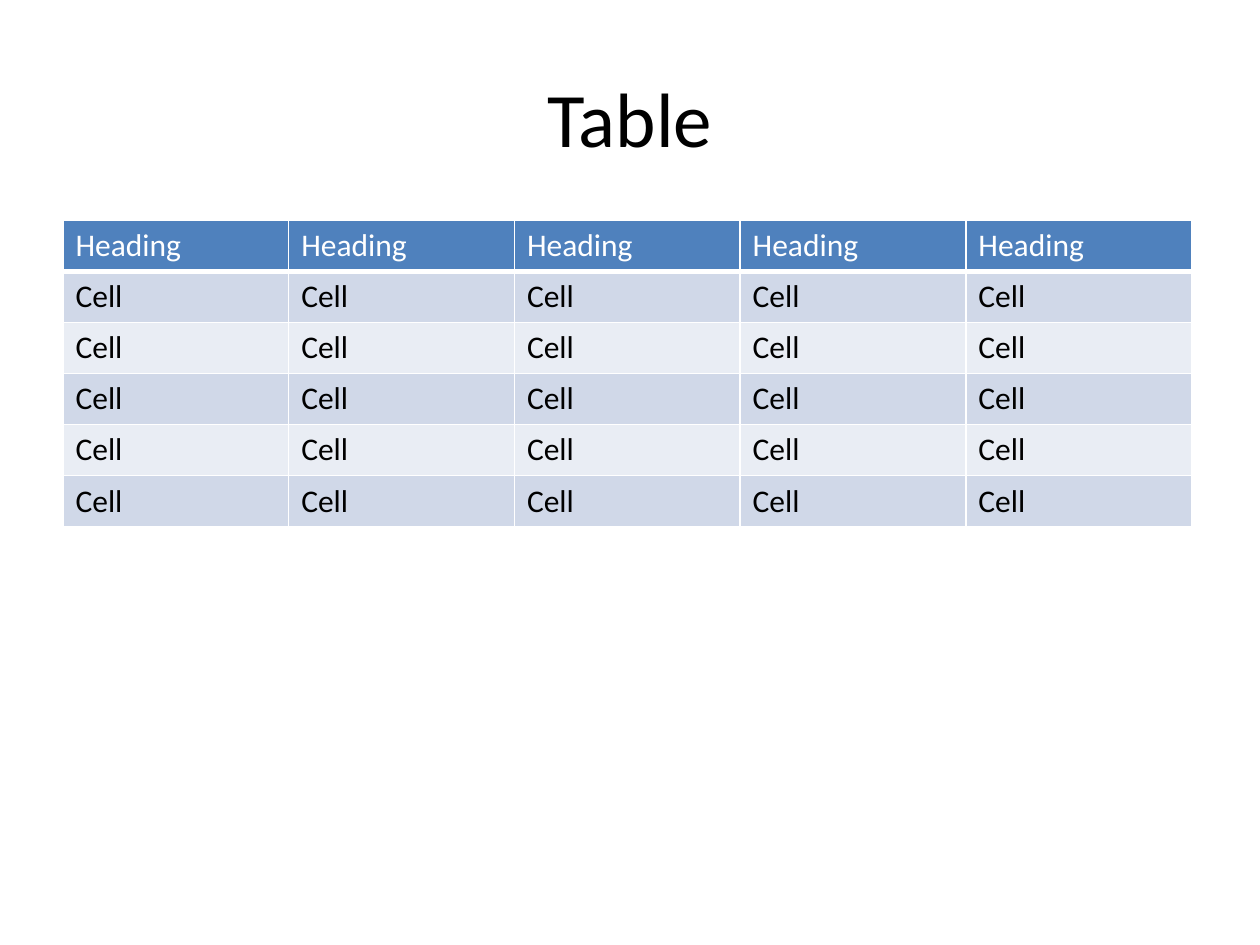
from lxml.etree import SubElement
from pptx import Presentation
from pptx.dml.color import RGBColor
from pptx.enum.text import MSO_ANCHOR, PP_ALIGN
from pptx.oxml.ns import qn
from pptx.util import Cm, Pt

TITLE_BOX = (1.27, 0.76, 22.86, 3.18)
TABLE_BOX = (1.27, 4.44, 22.75, 6.18)
TITLE_FORMAT = {"name": "Calibri", "size": Pt(44), "bold": False}
CELL_FORMAT = {"name": "Calibri", "size": Pt(18), "bold": False}
BLACK, WHITE = "000000", "FFFFFF"
HEADER_FILL = "4F81BD"
BAND_FILLS = ("D0D8E8", "E9EDF4")
COLUMN_COUNT, BODY_ROW_COUNT = 5, 5


def color(hex_code):
    return RGBColor.from_string(hex_code)


def format_font(font, values, hex_code):
    for attribute, value in values.items():
        setattr(font, attribute, value)
    font.color.rgb = color(hex_code)


def add_borders(cell, bottom_width):
    """Draw white lines on all four sides of a cell."""
    properties = cell._tc.get_or_add_tcPr()
    widths = {"lnL": 1, "lnR": 1, "lnT": 1, "lnB": bottom_width}
    for side, width in widths.items():
        line = SubElement(properties, qn(f"a:{side}"), w=str(Pt(width)))
        fill = SubElement(line, qn("a:solidFill"))
        SubElement(fill, qn("a:srgbClr"), val=WHITE)


def place_title(slide, box, text):
    title = slide.shapes.title
    title.left, title.top, title.width, title.height = map(Cm, box)
    title.text_frame.text = text
    title.text_frame.vertical_anchor = MSO_ANCHOR.MIDDLE
    paragraph = title.text_frame.paragraphs[0]
    paragraph.alignment = PP_ALIGN.CENTER
    format_font(paragraph.runs[0].font, TITLE_FORMAT, BLACK)


def place_table(slide, box, rows):
    table = slide.shapes.add_table(len(rows), len(rows[0]), *map(Cm, box)).table
    for row_index, labels in enumerate(rows):
        is_header = row_index == 0
        # Header colours, then alternating bands
        fill = HEADER_FILL if is_header else BAND_FILLS[(row_index - 1) % 2]
        for column_index, label in enumerate(labels):
            cell = table.cell(row_index, column_index)
            cell.text = label
            add_borders(cell, bottom_width=3 if is_header else 1)
            cell.fill.solid()
            cell.fill.fore_color.rgb = color(fill)
            font = cell.text_frame.paragraphs[0].runs[0].font
            format_font(font, CELL_FORMAT, WHITE if is_header else BLACK)


def main():
    presentation = Presentation()
    presentation.slide_width, presentation.slide_height = Cm(25.4), Cm(19.05)
    slide = presentation.slides.add_slide(presentation.slide_layouts[5])

    # Title above the table
    place_title(slide, TITLE_BOX, "Table")

    # One heading row and the body rows
    headings = ["Heading"] * COLUMN_COUNT
    body = [["Cell"] * COLUMN_COUNT] * BODY_ROW_COUNT
    place_table(slide, TABLE_BOX, [headings, *body])

    presentation.save("out.pptx")


if __name__ == "__main__":
    main()
